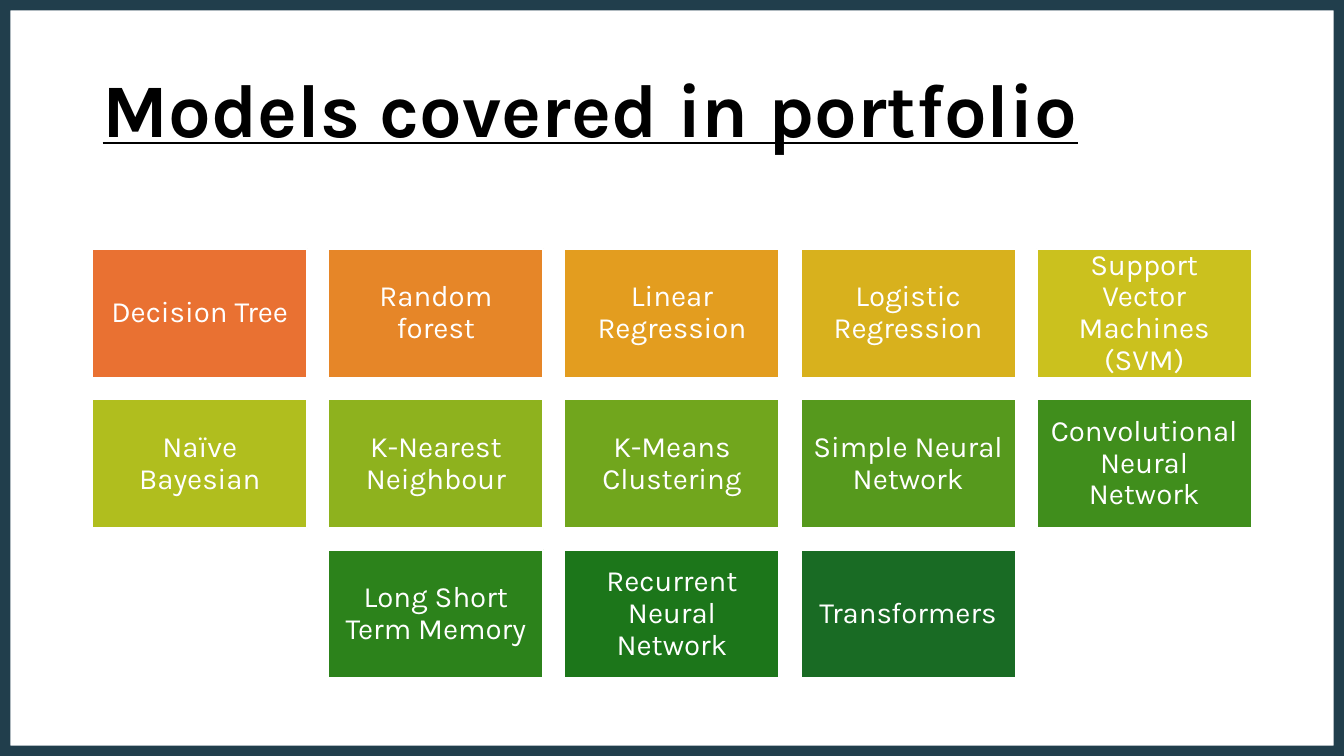
from pptx import Presentation
from pptx.dml.color import RGBColor
from pptx.enum.shapes import MSO_SHAPE as Shape
from pptx.enum.text import MSO_ANCHOR as Anchor, MSO_AUTO_SIZE as AutoSize, PP_ALIGN as Align
from pptx.oxml.ns import qn
from pptx.util import Cm, Pt
from lxml.etree import SubElement

WHITE = RGBColor(0xFF, 0xFF, 0xFF)
BLACK = RGBColor(0x00, 0x00, 0x00)
FRAME = RGBColor(0x09, 0x2A, 0x39)

# Slide and tile grid, in centimetres
WIDTH, HEIGHT = 33.87, 19.05
TILE_WIDTH, TILE_HEIGHT = 5.42, 3.25
COLUMN_STEP, ROW_STEP = 5.95, 3.79
GRID_TOP = 6.27

# Model names with their tile colours, row by row
MODEL_ROWS = [
    [("Decision Tree", "E97132"), ("Random forest", "E68628"),
     ("Linear Regression", "E39D1F"), ("Logistic Regression", "D8B11D"),
     ("Support Vector Machines (SVM)", "CBC11E")],
    [("Naïve Bayesian", "B0BE1E"), ("K-Nearest Neighbour", "8EB21E"),
     ("K-Means Clustering", "71A61D"), ("Simple Neural Network", "56991D"),
     ("Convolutional Neural Network", "408E1C")],
    [("Long Short Term Memory", "2C821B"), ("Recurrent Neural Network", "1C761A"),
     ("Transformers", "196B24")],
]


class SlideBuilder:
    """Holds the text style and the current slide."""

    font_name = "Karla"

    def __init__(self, page):
        self.page = page

    def label(self, box, text, align, frame_format, font_format, color, space_after=0):
        frame = box.text_frame
        for name, value in frame_format.items():
            setattr(frame, name, value)
        para = frame.paragraphs[0]
        para_format = {"alignment": align, "line_spacing": 0.9,
                       "space_before": Pt(0), "space_after": Pt(space_after)}
        for name, value in para_format.items():
            setattr(para, name, value)
        span = para.add_run()
        span.text = text
        for name, value in {"name": self.font_name, **font_format}.items():
            setattr(span.font, name, value)
        span.font.color.rgb = color

    def title(self, text, left, top, width, height):
        box = self.page.shapes.title
        place = {"left": left, "top": top, "width": width, "height": height}
        for name, value in place.items():
            setattr(box, name, Cm(value))
        frame_format = {"word_wrap": True, "auto_size": AutoSize.NONE,
                        "vertical_anchor": Anchor.MIDDLE}
        font_format = {"size": Pt(54), "bold": True, "underline": True}
        self.label(box, text, Align.LEFT, frame_format, font_format, BLACK, 6)

    def rectangle(self, left, top, width, height, line_color, line_width):
        box = self.page.shapes.add_shape(
            Shape.RECTANGLE, Cm(left), Cm(top), Cm(width), Cm(height))
        box.shadow.inherit = False
        box.line.color.rgb = line_color
        box.line.width = Pt(line_width)
        return box

    def tile(self, text, fill, left, top):
        box = self.rectangle(left, top, TILE_WIDTH, TILE_HEIGHT, WHITE, 1.5)
        box.fill.solid()
        box.fill.fore_color.rgb = RGBColor.from_string(fill)
        sides = ("left", "top", "right", "bottom")
        frame_format = {f"margin_{side}": Cm(0.22) for side in sides}
        frame_format.update(word_wrap=True, vertical_anchor=Anchor.MIDDLE)
        self.label(box, text, Align.CENTER, frame_format, {"size": Pt(21)}, WHITE)

    def border(self, opacity):
        box = self.rectangle(0, 0, WIDTH, HEIGHT, FRAME, 14.75)
        box.fill.background()
        color = box.element.spPr.find(f"{qn('a:ln')}//{qn('a:srgbClr')}")
        SubElement(color, qn("a:alpha"), val=str(opacity * 1000))


def main():
    deck = Presentation()
    deck.slide_width, deck.slide_height = Cm(WIDTH), Cm(HEIGHT)
    title_only = deck.slide_layouts[5]
    page = deck.slides.add_slide(title_only)
    page.background.fill.solid()
    page.background.fill.fore_color.rgb = WHITE
    builder = SlideBuilder(page)

    # Title
    builder.title("Models covered in portfolio", 2.33, 1.02, 29.21, 3.68)

    # Model tiles, each row centred on the slide
    for row, models in enumerate(MODEL_ROWS):
        row_width = (len(models) - 1) * COLUMN_STEP + TILE_WIDTH
        row_left = (WIDTH - row_width) / 2
        for column, (name, fill) in enumerate(models):
            builder.tile(name, fill, row_left + column * COLUMN_STEP,
                         GRID_TOP + row * ROW_STEP)

    # Frame around the slide
    builder.border(90)

    deck.save("out.pptx")


if __name__ == "__main__":
    main()
